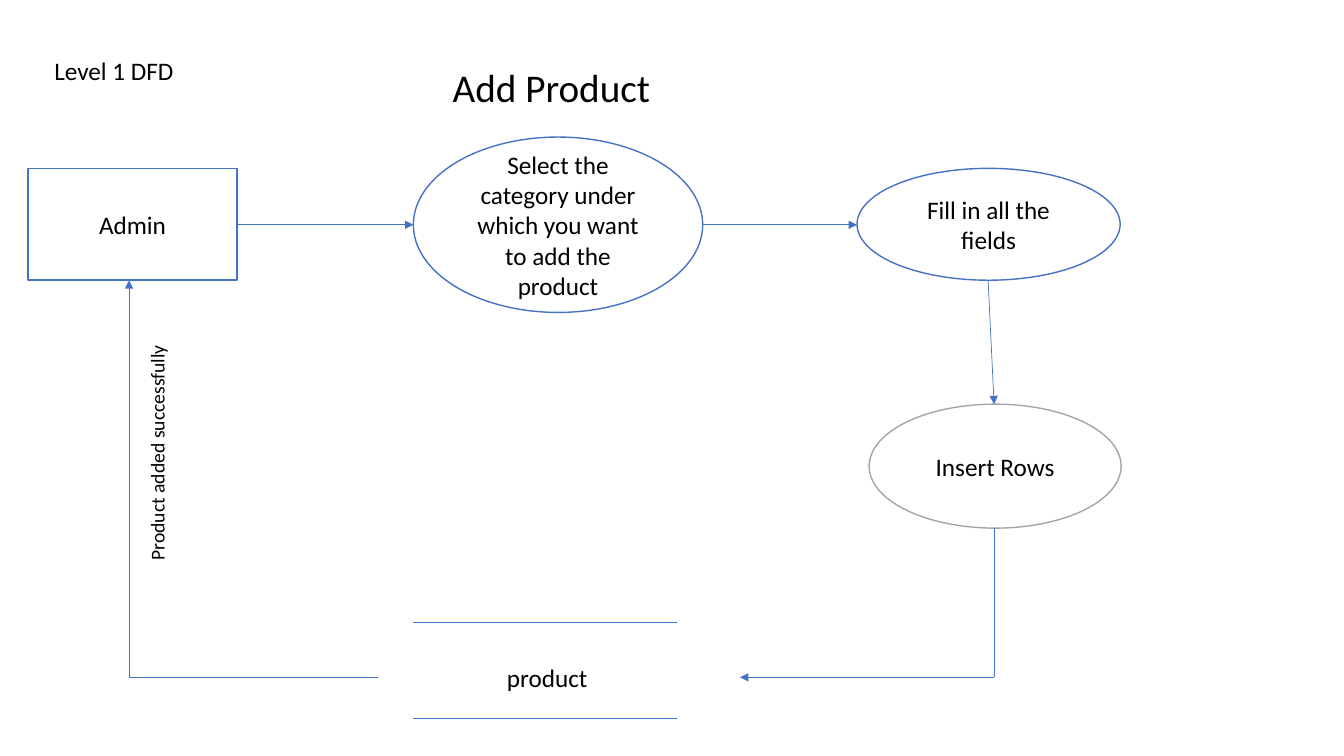
from lxml.etree import SubElement
from pptx import Presentation
from pptx.dml.color import RGBColor
from pptx.enum.shapes import MSO_CONNECTOR, MSO_SHAPE
from pptx.enum.text import MSO_ANCHOR, MSO_AUTO_SIZE, PP_ALIGN
from pptx.oxml.ns import qn
from pptx.util import Pt

PX = 9144  # EMU per px, 100 px to the inch

THEME = {
    "font": "Calibri",
    "text": RGBColor.from_string("000000"),
    "fill": RGBColor.from_string("FFFFFF"),
    "blue": RGBColor.from_string("4472C4"),
    "gray": RGBColor.from_string("A5A5A5"),
    "title": Pt(28),
    "body": Pt(18),
    "small": Pt(14),
    "edge": Pt(1),
    "flow": Pt(0.5),
}


def scale(*sizes):
    return [size * PX for size in sizes]


def write(shape, text, size, align=PP_ALIGN.LEFT, anchor=MSO_ANCHOR.TOP):
    frame = shape.text_frame
    frame.text = text
    frame.word_wrap = True
    frame.auto_size = MSO_AUTO_SIZE.NONE
    frame.vertical_anchor = anchor
    line = frame.paragraphs[0]
    line.alignment = align
    font = line.runs[0].font
    font.name = THEME["font"]
    font.size = THEME[size]
    font.color.rgb = THEME["text"]


deck = Presentation()
deck.slide_width, deck.slide_height = scale(1333, 750)
slide = deck.slides.add_slide(deck.slide_layouts[5])
shapes = slide.shapes

# Title
title = shapes.title
title.left, title.top, title.width, title.height = scale(439, 58, 245, 57)
write(title, "Add Product", "title")

# Entity and processes
nodes = [
    ("Admin", MSO_SHAPE.RECTANGLE, "blue", (28, 167, 207, 111)),
    ("Select the category under which you want to add the product",
     MSO_SHAPE.OVAL, "blue", (410, 136, 287, 174)),
    ("Fill in all the fields", MSO_SHAPE.OVAL, "blue", (850, 167, 261, 111)),
    ("Insert Rows", MSO_SHAPE.OVAL, "gray", (862, 401, 250, 123)),
]
for text, kind, color, box in nodes:
    node = shapes.add_shape(kind, *scale(*box))
    node.shadow.inherit = False
    node.fill.solid()
    node.fill.fore_color.rgb = THEME["fill"]
    node.line.color.rgb = THEME[color]
    node.line.width = THEME["edge"]
    write(node, text, "body", PP_ALIGN.CENTER, MSO_ANCHOR.MIDDLE)

# Labels
labels = [
    ("Level 1 DFD", "body", 0, (44, 50, 150, 40)),
    ("product", "body", 0, (493, 652, 116, 40)),
    ("Product added successfully", "small", 270, (23, 416, 266, 34)),
]
for text, size, turn, box in labels:
    label = shapes.add_textbox(*scale(*box))
    label.rotation = turn
    write(label, text, size)

# Flows, and the two rules of the data store
flows = [
    ((235, 223, 410, 223), True),
    ((697, 223, 850, 223), True),
    ((980, 278, 986, 401), True),
    ((986, 524, 986, 672), False),
    ((986, 672, 734, 672), True),
    ((410, 617, 671, 617), False),
    ((410, 713, 671, 713), False),
    ((375, 672, 128, 672), False),
    ((128, 672, 128, 278), True),
]
for ends, arrow in flows:
    flow = shapes.add_connector(MSO_CONNECTOR.STRAIGHT, *scale(*ends))
    flow.line.color.rgb = THEME["blue"]
    flow.line.width = THEME["flow"]
    props = flow.element.spPr
    if arrow:
        SubElement(props.find(qn("a:ln")), qn("a:tailEnd"), type="triangle")
    SubElement(props, qn("a:effectLst"))

deck.save("out.pptx")
